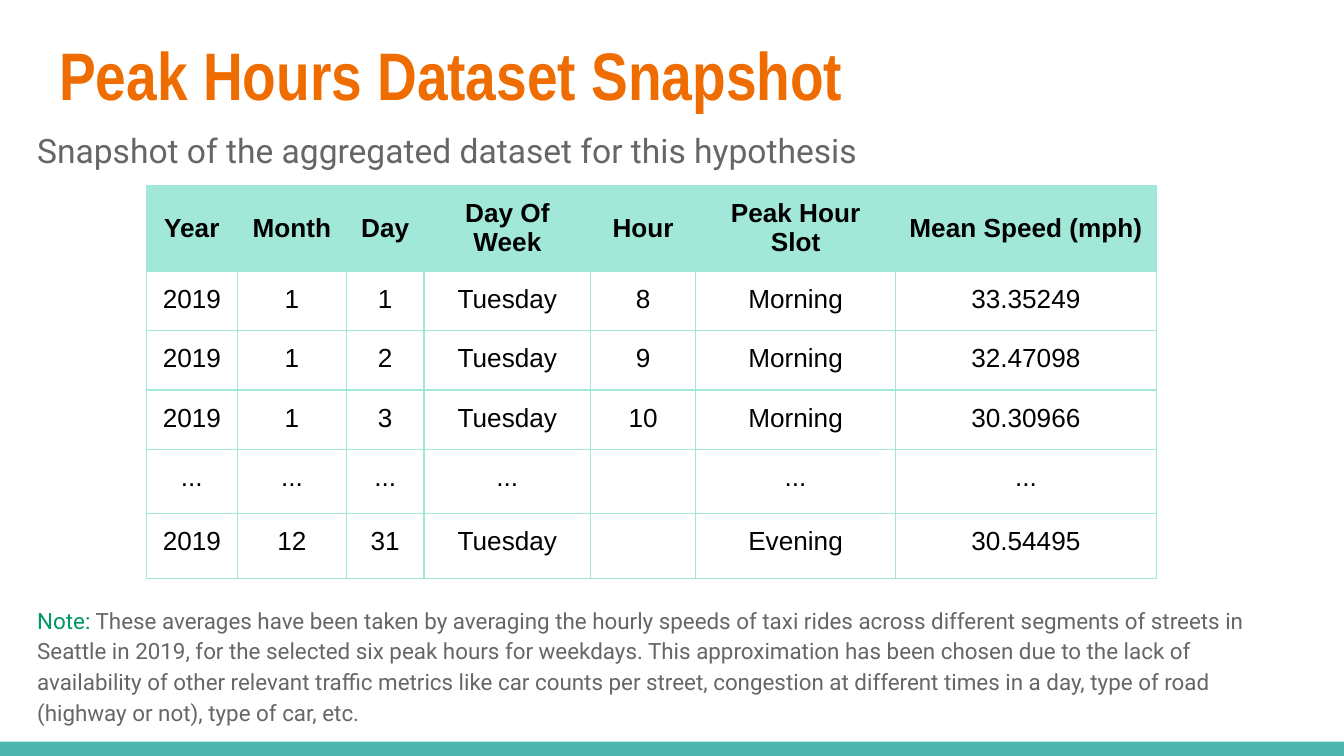
"""Build the peak hours dataset slide."""
import pptx
import pptx.util
import pptx.dml.color
import pptx.enum.shapes
import pptx.enum.text
import pptx.oxml
import pptx.oxml.ns

Pt = pptx.util.Pt
ALIGN = pptx.enum.text.PP_ALIGN
ANCHOR = pptx.enum.text.MSO_ANCHOR
MINT, GREY = "A1E8D9", "666666"


def style(run, name, size, color, bold=False):
    """Format one run."""
    run.font.name = name
    run.font.size = Pt(size)
    run.font.bold = bold
    run.font.color.rgb = pptx.dml.color.RGBColor.from_string(color)


def inset(frame):
    """Wrap a text frame and give it even margins."""
    frame.word_wrap = True
    frame.auto_size = pptx.enum.text.MSO_AUTO_SIZE.NONE
    frame.vertical_anchor = ANCHOR.TOP
    frame.margin_left = frame.margin_right = Pt(7.2)
    frame.margin_top = frame.margin_bottom = Pt(7.2)


deck = pptx.Presentation()
deck.slide_width, deck.slide_height = Pt(720), Pt(405)
slide = deck.slides.add_slide(deck.slide_layouts[5])

strip = slide.shapes.add_shape(
    pptx.enum.shapes.MSO_SHAPE.RECTANGLE, Pt(0), Pt(397.4), Pt(720), Pt(7.6))
strip.shadow.inherit = False
strip.fill.solid()
strip.fill.fore_color.rgb = pptx.dml.color.RGBColor.from_string("4DB6AC")
strip.line.fill.background()

title = slide.shapes.title
title.left, title.top, title.width, title.height = Pt(24.5), Pt(10.8), Pt(671), Pt(55.4)
inset(title.text_frame)
title.text_frame.text = "Peak Hours Dataset Snapshot"
head = title.text_frame.paragraphs[0]
head.alignment = ALIGN.LEFT
style(head.runs[0], "Arial Narrow", 36, "EF6C00", True)

note = (
    " These averages have been taken by averaging the hourly speeds of taxi rides "
    "across different segments of streets in Seattle in 2019, for the selected six "
    "peak hours for weekdays. This approximation has been chosen due to the lack of "
    "availability of other relevant traffic metrics like car counts per street, "
    "congestion at different times in a day, type of road (highway or not), type of "
    "car, etc.")
blocks = [
    (59.1, 36, 18, [("Snapshot of the aggregated dataset for this hypothesis", GREY)]),
    (315.7, 80, 12, [("Note:", "009668"), (note, GREY)]),
]
for top, height, size, parts in blocks:
    box = slide.shapes.add_textbox(Pt(12.8), Pt(top), Pt(677), Pt(height))
    inset(box.text_frame)
    para = box.text_frame.paragraphs[0]
    para.line_spacing = 1.15
    for text, color in parts:
        run = para.add_run()
        run.text = text
        style(run, "Roboto", size, color)

rows = [
    ["Year", "Month", "Day", "Day Of Week", "Hour", "Peak Hour Slot", "Mean Speed (mph)"],
    ["2019", "1", "1", "Tuesday", "8", "Morning", "33.35249"],
    ["2019", "1", "2", "Tuesday", "9", "Morning", "32.47098"],
    ["2019", "1", "3", "Tuesday", "10", "Morning", "30.30966"],
    ["...", "...", "...", "...", "", "...", "..."],
    ["2019", "12", "31", "Tuesday", "", "Evening", "30.54495"],
]
widths = [48.8, 58.4, 41.6, 89.3, 56.2, 107.2, 139.6]
heights = [46, 31.9, 31.9, 31.9, 34.4, 34.6]
table = slide.shapes.add_table(
    len(rows), len(widths), Pt(78.4), Pt(99.2), Pt(sum(widths)), Pt(sum(heights))).table
table.first_row = table.horz_banding = False
for col, width in zip(table.columns, widths):
    col.width = Pt(width)
for r, (row, height) in enumerate(zip(rows, heights)):
    table.rows[r].height = Pt(height)
    for c, text in enumerate(row):
        cell = table.cell(r, c)
        if r == 0:
            cell.fill.solid()
            cell.fill.fore_color.rgb = pptx.dml.color.RGBColor.from_string(MINT)
            cell.vertical_anchor = ANCHOR.MIDDLE
        else:
            cell.fill.background()
        props = cell._tc.get_or_add_tcPr()
        for i, side in enumerate("LRTB"):
            props.insert(i, pptx.oxml.parse_xml(
                f'<a:ln{side} {pptx.oxml.ns.nsdecls("a")} w="{Pt(0.75)}"><a:solidFill>'
                f'<a:srgbClr val="{MINT}"/></a:solidFill></a:ln{side}>'))
        if text:
            cell.margin_left = cell.margin_right = Pt(7.2)
            cell.margin_top = cell.margin_bottom = Pt(7.2)
            cell.text_frame.text = text
            para = cell.text_frame.paragraphs[0]
            para.alignment = ALIGN.CENTER
            style(para.runs[0], "Arial", 14, "000000", r == 0)

deck.save("out.pptx")
